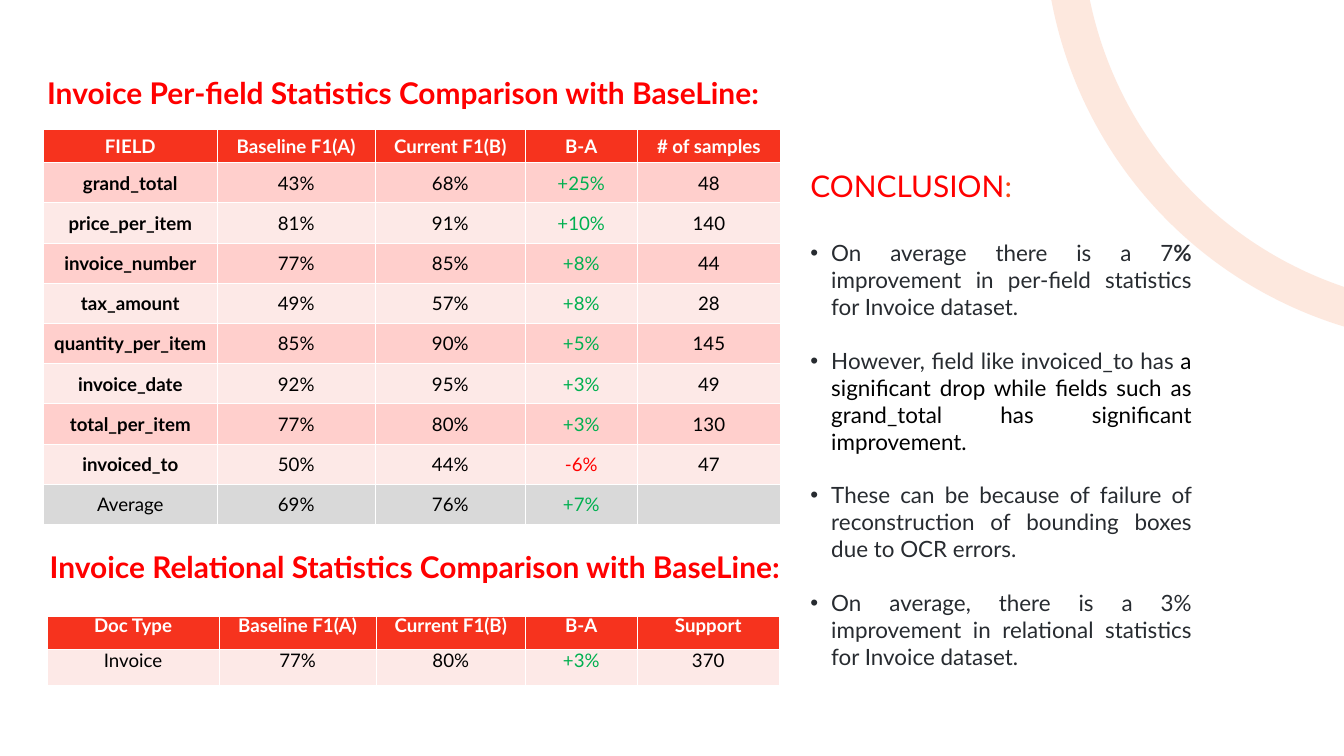
from lxml.etree import SubElement
from pptx import Presentation
from pptx.dml.color import RGBColor
from pptx.enum.shapes import MSO_SHAPE
from pptx.enum.text import MSO_ANCHOR, MSO_AUTO_SIZE, PP_ALIGN
from pptx.oxml import parse_xml
from pptx.oxml.ns import nsdecls, qn
from pptx.util import Cm, Pt

FONT = "Lato"
RED, HEADER_RED, ORANGE = "FF0000", "F6331E", "F15204"
GREEN, BLACK, WHITE, DARK = "00B050", "000000", "FFFFFF", "272B30"
ROSE, PALE_ROSE, GREY = "FFCFCC", "FDE9E7", "D9D9D9"
DELTA_COLUMN = 3

FIELD_ROWS = [
    ("FIELD", "Baseline F1(A)", "Current F1(B)", "B-A", "# of samples"),
    ("grand_total", "43%", "68%", "+25%", "48"),
    ("price_per_item", "81%", "91%", "+10%", "140"),
    ("invoice_number", "77%", "85%", "+8%", "44"),
    ("tax_amount", "49%", "57%", "+8%", "28"),
    ("quantity_per_item", "85%", "90%", "+5%", "145"),
    ("invoice_date", "92%", "95%", "+3%", "49"),
    ("total_per_item", "77%", "80%", "+3%", "130"),
    ("invoiced_to", "50%", "44%", "-6%", "47"),
    ("Average", "69%", "76%", "+7%", ""),
]
RELATIONAL_ROWS = [
    ("Doc Type", "Baseline F1(A)", "Current F1(B)", "B-A", "Support"),
    ("Invoice", "77%", "80%", "+3%", "370"),
]
# Each conclusion is a list of (text, colour, bold) runs.
CONCLUSIONS = [
    [("On average there is a 7", DARK, False), ("% ", DARK, True),
     ("improvement in per-field statistics for Invoice dataset.", DARK, False)],
    [("However, field like invoiced_to has ", DARK, False),
     ("a significant drop while fields such as grand_total has significant "
      "improvement.", BLACK, False)],
    [("These can be because of failure of reconstruction of bounding boxes "
      "due to OCR errors.", DARK, False)],
    [("On average, there is a 3% improvement in relational statistics for "
      "Invoice dataset.", DARK, False)],
]


def rgb(value):
    return RGBColor.from_string(value)


def add_run(paragraph, text, size, color, bold=False):
    run = paragraph.add_run()
    run.text = text
    run.font.name = FONT
    run.font.size = Pt(size)
    run.font.bold = bold
    run.font.color.rgb = rgb(color)


def add_text_box(slide, left, top, width, height):
    box = slide.shapes.add_textbox(Cm(left), Cm(top), Cm(width), Cm(height))
    box.text_frame.word_wrap = True
    return box.text_frame


def set_borders(cell, width):
    """Draw white lines on all four sides of a cell."""
    properties = cell._tc.get_or_add_tcPr()
    for index, side in enumerate(("lnL", "lnR", "lnT", "lnB")):
        properties.insert(index, parse_xml(
            f'<a:{side} {nsdecls("a")} w="{Pt(width)}"><a:solidFill>'
            f'<a:srgbClr val="{WHITE}"/></a:solidFill></a:{side}>'))


def set_bullet(paragraph, indent):
    properties = paragraph._p.get_or_add_pPr()
    properties.set("marL", str(Cm(indent)))
    properties.set("indent", str(-Cm(indent)))
    SubElement(properties, qn("a:buFont"), typeface="Arial")
    SubElement(properties, qn("a:buChar"), char="•")


def row_fill(row, label):
    if row == 0:
        return HEADER_RED
    return GREY if label == "Average" else ROSE if row % 2 else PALE_ROSE


def text_color(row, column, text):
    if row == 0:
        return WHITE
    if column == DELTA_COLUMN:
        return RED if text.startswith("-") else GREEN
    return BLACK


def add_statistics_table(slide, left, top, column_widths, row_heights, rows,
                         fills, border, bottom_margin=0, line_spacing=None,
                         bold_labels=False):
    table = slide.shapes.add_table(
        len(rows), len(column_widths), Cm(left), Cm(top),
        Cm(sum(column_widths)), Cm(sum(row_heights))).table
    table.horz_banding = False
    for column, width in zip(table.columns, column_widths):
        column.width = Cm(width)
    for r, (values, height) in enumerate(zip(rows, row_heights)):
        table.rows[r].height = Cm(height)
        for c, text in enumerate(values):
            cell = table.cell(r, c)
            cell.fill.solid()
            cell.fill.fore_color.rgb = rgb(fills[r])
            set_borders(cell, border)
            cell.margin_left = cell.margin_right = cell.margin_top = Cm(0.03)
            cell.margin_bottom = Cm(bottom_margin)
            cell.vertical_anchor = MSO_ANCHOR.MIDDLE
            paragraph = cell.text_frame.paragraphs[0]
            paragraph.alignment = PP_ALIGN.CENTER
            if line_spacing:
                paragraph.line_spacing = Pt(line_spacing)
            if text:
                bold = r == 0 or (bold_labels and c == 0 and text != "Average")
                add_run(paragraph, text, 20, text_color(r, c, text), bold)


def add_field_table(slide, left, top):
    fills = [row_fill(r, values[0]) for r, values in enumerate(FIELD_ROWS)]
    heights = [1.24] + [1.52] * (len(FIELD_ROWS) - 1)
    add_statistics_table(slide, left, top, (6.55, 5.99, 5.66, 4.24, 5.41),
                         heights, FIELD_ROWS, fills, 0.5, bold_labels=True)


def add_relational_table(slide, left, top):
    add_statistics_table(slide, left, top, (6.5, 5.94, 5.64, 4.22, 5.38),
                         (1.24, 1.37), RELATIONAL_ROWS,
                         (HEADER_RED, PALE_ROSE), 0.75,
                         bottom_margin=0.13, line_spacing=12)


def add_corner_ring(slide, left, top, diameter):
    ring = slide.shapes.add_shape(MSO_SHAPE.OVAL, Cm(left), Cm(top),
                                  Cm(diameter), Cm(diameter))
    ring.shadow.inherit = False
    ring.fill.background()
    ring.line.width = Pt(40.5)
    ring.line.color.rgb = rgb(ORANGE)
    color = ring.line._ln.find(".//" + qn("a:srgbClr"))
    SubElement(color, qn("a:alpha"), val="12000")


def set_title(slide, left, top, width, height):
    title = slide.shapes.title
    title.left, title.top = Cm(left), Cm(top)
    title.width, title.height = Cm(width), Cm(height)
    frame = title.text_frame
    frame.auto_size = MSO_AUTO_SIZE.NONE
    frame.vertical_anchor = MSO_ANCHOR.MIDDLE
    frame.margin_left = frame.margin_right = 0
    frame.margin_top = frame.margin_bottom = 0
    paragraph = frame.paragraphs[0]
    paragraph.alignment = PP_ALIGN.LEFT
    paragraph.line_spacing = Pt(89)
    add_run(paragraph, "Invoice Per-field Statistics Comparison with BaseLine:",
            32, RED, True)


def add_relational_heading(slide, left, top, width, height):
    frame = add_text_box(slide, left, top, width, height)
    add_run(frame.paragraphs[0],
            "Invoice Relational Statistics Comparison with BaseLine:",
            32, RED, True)


def add_conclusion(slide, left, top, width, height):
    frame = add_text_box(slide, left, top, width, height)
    heading = frame.paragraphs[0]
    add_run(heading, "CONCLUSION", 32, RED)
    add_run(heading, ":", 32, "FC4710")
    for index, runs in enumerate(CONCLUSIONS):
        paragraph = frame.add_paragraph()
        paragraph.alignment = PP_ALIGN.JUSTIFY
        paragraph.space_before = Pt(28.8 if index else 38.4)
        set_bullet(paragraph, 0.79)
        for text, color, bold in runs:
            add_run(paragraph, text, 24, color, bold)


def main():
    presentation = Presentation()
    presentation.slide_width, presentation.slide_height = Cm(50.8), Cm(28.58)
    slide = presentation.slides.add_slide(presentation.slide_layouts[5])
    add_field_table(slide, 1.65, 4.9)
    add_corner_ring(slide, 40.18, -18.21, 30.53)
    add_conclusion(slide, 30.38, 6.22, 14.91, 18.39)
    set_title(slide, 1.78, 1.22, 33.68, 2.74)
    add_relational_table(slide, 1.78, 23.29)
    add_relational_heading(slide, 1.63, 20.62, 35.41, 1.63)
    presentation.save("out.pptx")


if __name__ == "__main__":
    main()
